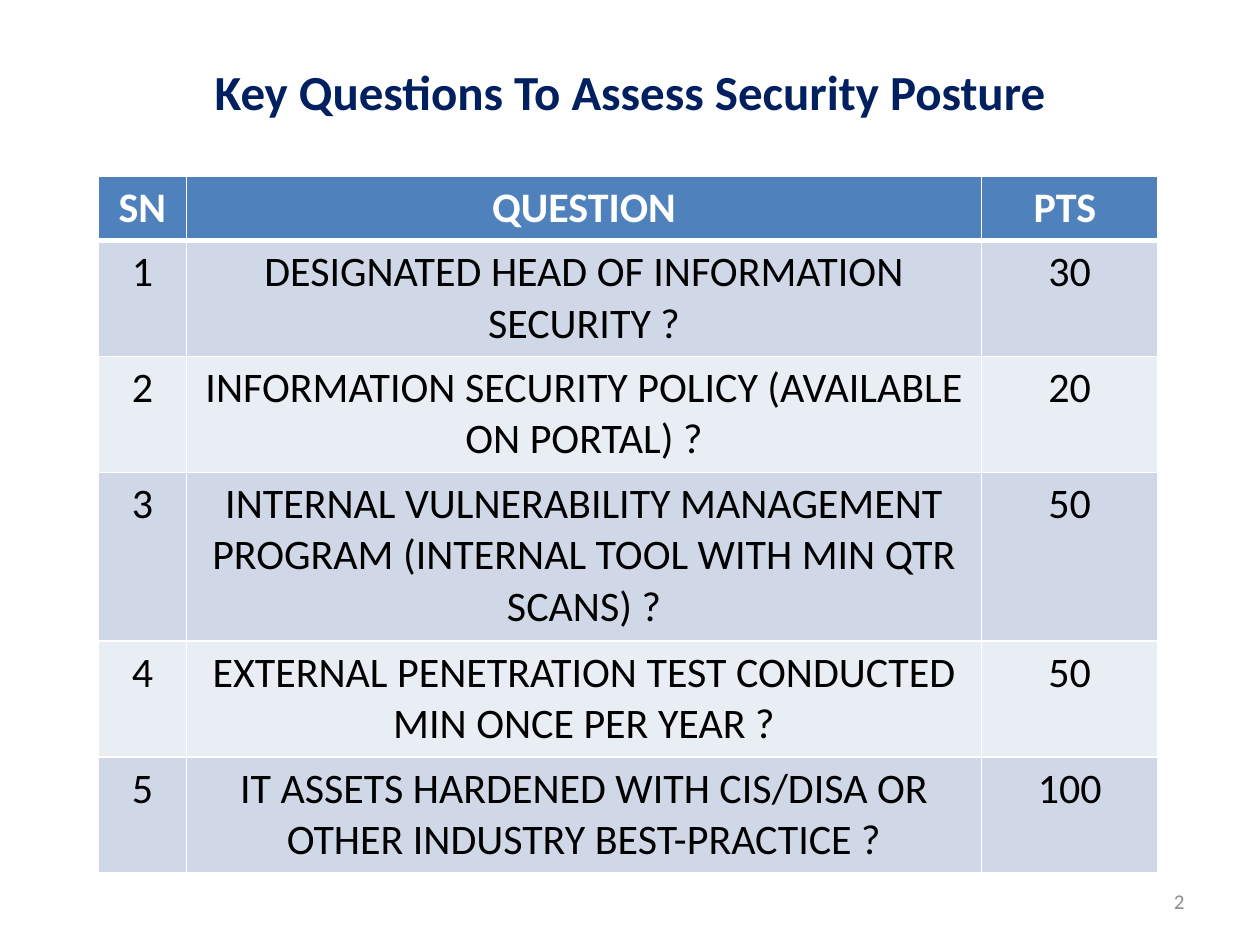
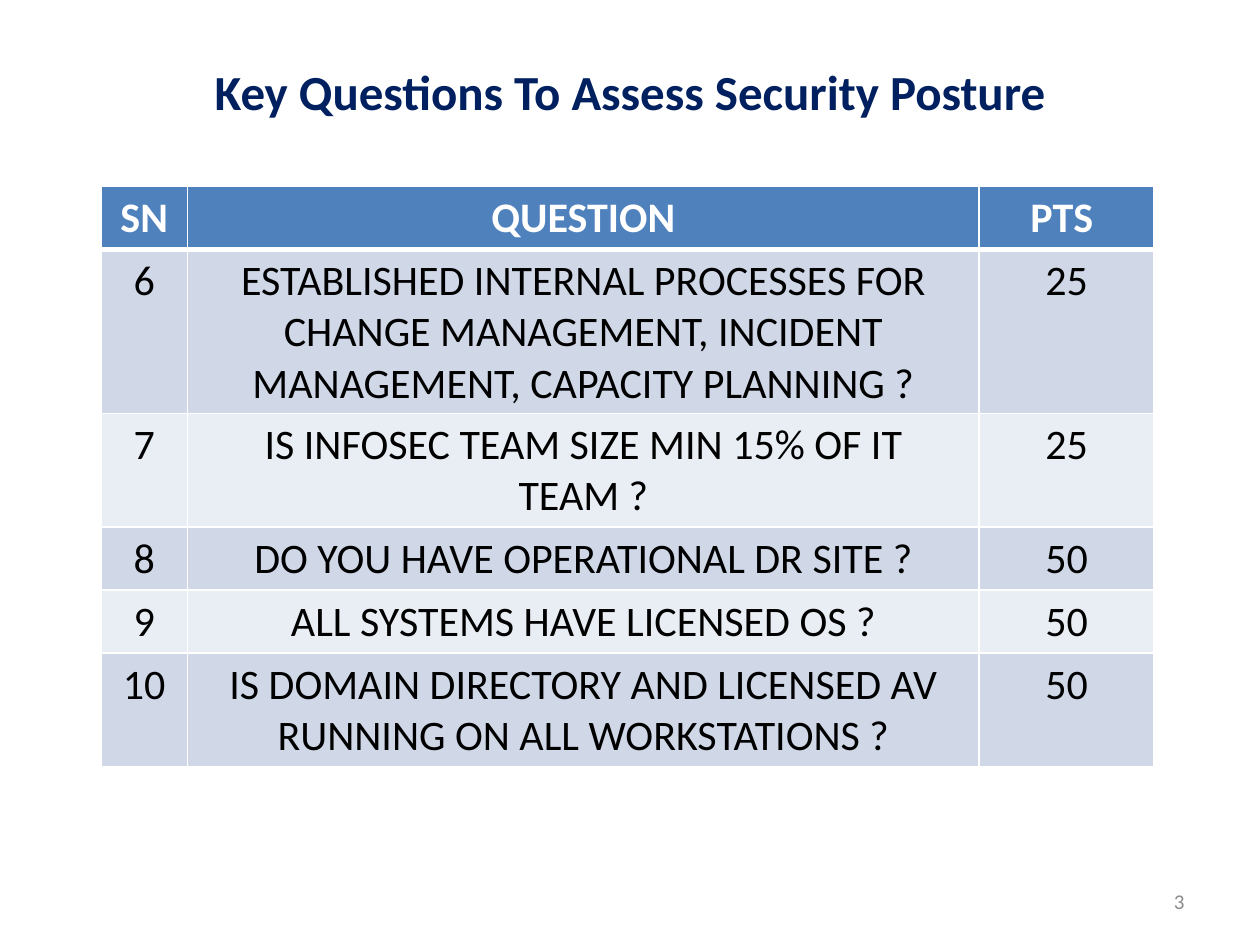
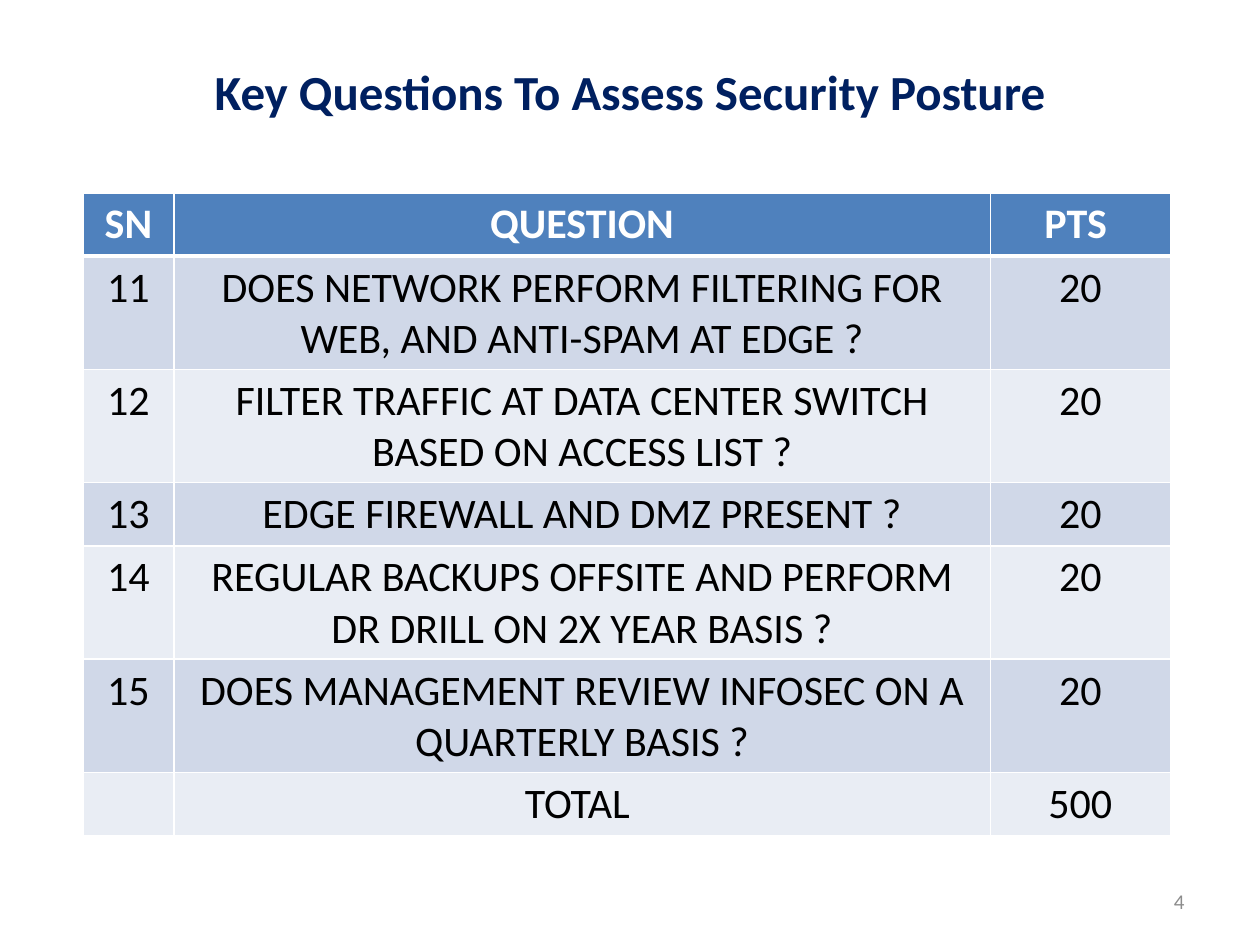
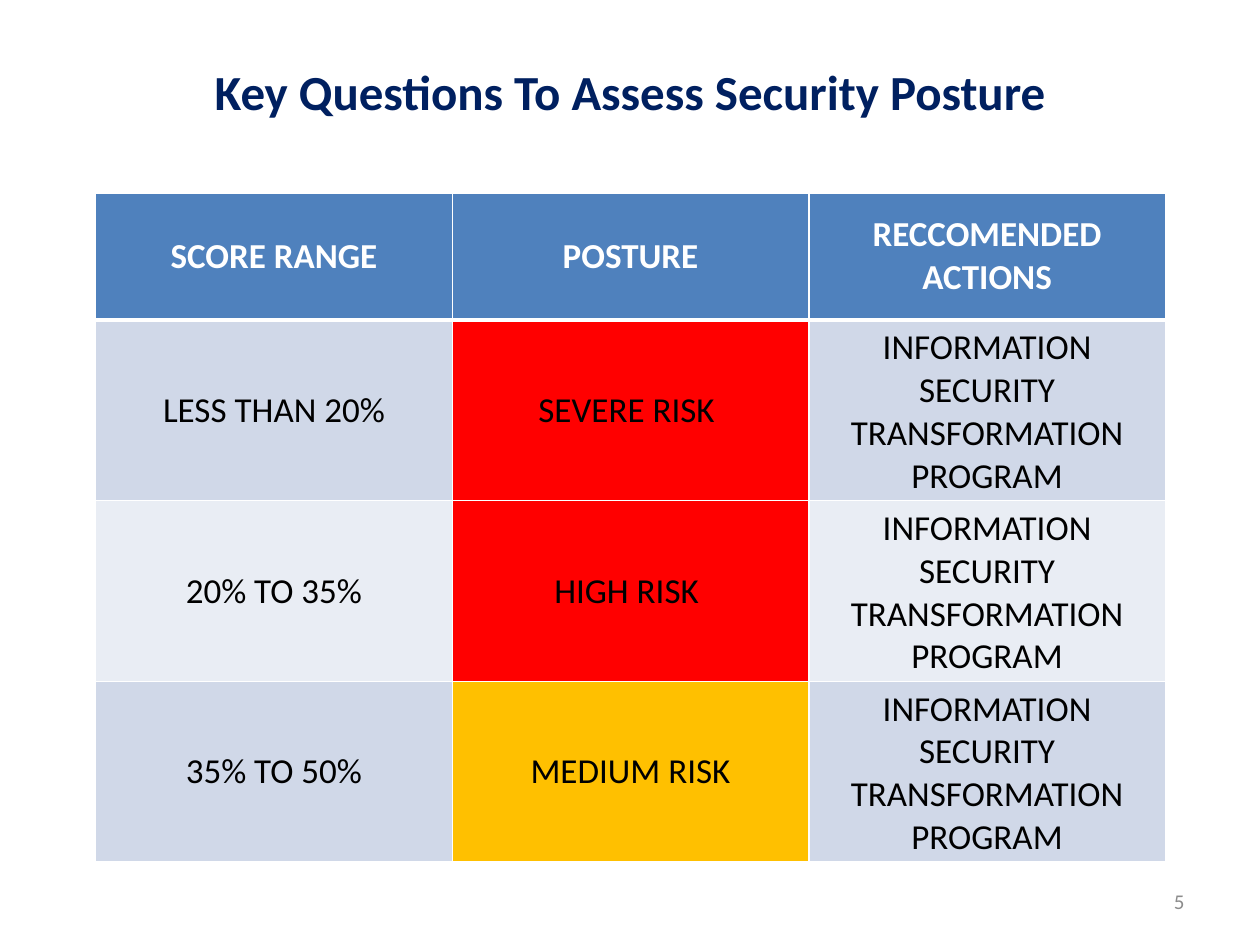
"""Build four slides that score and rate a security posture."""
from dataclasses import dataclass

from lxml import etree
from pptx import Presentation
from pptx import util as u
from pptx.dml.color import RGBColor
from pptx.enum import text
from pptx.oxml import ns

PX = 9144
FONT = "Calibri"
WHITE, BLACK, NAVY, GREY = "FFFFFF", "000000", "002060", "8C8C8C"
HEADER, BANDS = "4F81BD", ("E9EDF4", "D0D8E8")
RED, AMBER = "FF0000", "FFC000"
TITLE = "Key Questions To Assess Security Posture"
TITLE_BOX = (50, 23, 900, 98)
NUMBER_BOX = (717, 695, 233, 40)
FIRST_NUMBER = 2
QUESTION_HEAD = ("SN", "QUESTION", "PTS ")
PROGRAM = "INFORMATION SECURITY TRANSFORMATION PROGRAM"
TOP, MIDDLE = text.MSO_ANCHOR.TOP, text.MSO_ANCHOR.MIDDLE


@dataclass(frozen=True)
class Grid:
    box: tuple[int, int, int, int]
    cols: tuple[int, ...]
    heights: tuple[int, ...]
    rows: tuple[tuple[str, ...], ...]
    size: int = 24
    anchor: text.MSO_ANCHOR = TOP
    posture_fills: tuple[str, ...] = ()


GRIDS = (
    Grid((78, 140, 841, 555), (70, 631, 140), (51, 92, 92, 134, 92, 92), (
        QUESTION_HEAD,
        ("1", "DESIGNATED HEAD OF INFORMATION SECURITY ?", "30"),
        ("2", "INFORMATION SECURITY POLICY (AVAILABLE ON PORTAL) ?", "20"),
        ("3", "INTERNAL VULNERABILITY MANAGEMENT PROGRAM "
              "(INTERNAL TOOL WITH MIN QTR SCANS) ?", "50"),
        ("4", "EXTERNAL PENETRATION TEST CONDUCTED MIN ONCE PER YEAR ?", "50"),
        ("5", "IT ASSETS HARDENED WITH CIS/DISA OR "
              "OTHER INDUSTRY BEST-PRACTICE ?", "100"),
    )),
    Grid((80, 148, 836, 460), (69, 628, 139), (49, 128, 49, 49, 49, 89), (
        QUESTION_HEAD,
        ("6", "ESTABLISHED INTERNAL PROCESSES FOR CHANGE MANAGEMENT, "
              "INCIDENT MANAGEMENT, CAPACITY PLANNING ?", "25"),
        ("7", "IS INFOSEC TEAM SIZE MIN 15% OF IT TEAM ?", "25"),
        ("8", "DO YOU HAVE OPERATIONAL DR SITE ?", "50"),
        ("9", "ALL SYSTEMS HAVE LICENSED OS ?", "50"),
        ("10", "IS DOMAIN DIRECTORY AND LICENSED AV "
               "RUNNING ON ALL WORKSTATIONS ?", "50"),
    )),
    Grid((66, 153, 863, 510), (72, 648, 143), (47,) * 7, (
        QUESTION_HEAD,
        ("11", "DOES NETWORK PERFORM FILTERING FOR WEB, "
               "AND ANTI-SPAM AT EDGE ?", "20"),
        ("12", "FILTER TRAFFIC AT DATA CENTER SWITCH "
               "BASED ON ACCESS LIST ?", "20"),
        ("13", "EDGE FIREWALL AND DMZ PRESENT ?", "20"),
        ("14", "REGULAR BACKUPS OFFSITE AND PERFORM "
               "DR DRILL ON 2X YEAR BASIS ?", "20"),
        ("15", "DOES MANAGEMENT REVIEW INFOSEC ON A QUARTERLY BASIS ?", "20"),
        ("", "TOTAL ", "500"),
    )),
    Grid((76, 153, 848, 531), (283,) * 3, (101, 58, 58, 58), (
        ("SCORE RANGE", "POSTURE", "RECCOMENDED ACTIONS"),
        ("LESS THAN 20%", "SEVERE RISK ", PROGRAM),
        ("20% TO 35%", "HIGH RISK ", PROGRAM),
        ("35% TO 50%", "MEDIUM RISK", PROGRAM),
    ), size=20, anchor=MIDDLE, posture_fills=(RED, RED, AMBER)),
)


def rgb(value: str) -> RGBColor:
    """Turn a hex string into a colour."""
    return RGBColor.from_string(value)


def px(*lengths: int) -> list[int]:
    """Turn px lengths into EMU."""
    return [length * PX for length in lengths]


def write(tf, words: str, *, size: int, color: str, bold: bool = False,
          align=text.PP_ALIGN.CENTER) -> None:
    """Put formatted words into a text frame."""
    p = tf.paragraphs[0]
    p.alignment = align
    p.font.size = u.Pt(size)
    if words:
        r = p.add_run()
        r.text = words
        r.font.name, r.font.size, r.font.bold = FONT, u.Pt(size), bold
        r.font.color.rgb = rgb(color)


def border(cell, **widths: int) -> None:
    """Draw white cell borders with the given point widths by side."""
    tc_pr = cell._tc.get_or_add_tcPr()
    for side in "LRTB":
        ln = etree.SubElement(tc_pr, ns.qn(f"a:ln{side}"),
                              w=str(u.Pt(widths.get(side, 1))))
        fill = etree.SubElement(ln, ns.qn("a:solidFill"))
        etree.SubElement(fill, ns.qn("a:srgbClr"), val=WHITE)


def cell_fill(grid: Grid, row: int, col: int) -> str:
    """Choose the fill of a cell from its place in the grid."""
    if row == 0:
        return HEADER
    if grid.posture_fills and col == 1:
        return grid.posture_fills[row - 1]
    return BANDS[row % 2]


def add_grid(s, grid: Grid) -> None:
    """Draw a grid as a table."""
    frame = s.shapes.add_table(len(grid.rows), len(grid.cols), *px(*grid.box))
    table = frame.table
    for column, width in zip(table.columns, px(*grid.cols)):
        column.width = width
    for row, height in zip(table.rows, px(*grid.heights)):
        row.height = height
    frame.height = px(grid.box[3])[0]
    for i, words in enumerate(grid.rows):
        head = i == 0
        for j, value in enumerate(words):
            cell = table.cell(i, j)
            border(cell, B=3 if head else 1, T=3 if i == 1 else 1)
            cell.fill.solid()
            cell.fill.fore_color.rgb = rgb(cell_fill(grid, i, j))
            cell.vertical_anchor = grid.anchor
            write(cell.text_frame, value, size=grid.size, bold=head,
                  color=WHITE if head else BLACK)


def add_slide(prs, number: int, grid: Grid) -> None:
    """Add a slide with its number, title and grid."""
    s = prs.slides.add_slide(prs.slide_layouts.get_by_name("Title Only"))
    title = s.shapes.title
    title.left, title.top, title.width, title.height = px(*TITLE_BOX)
    title.text_frame.vertical_anchor = MIDDLE
    write(title.text_frame, TITLE, size=28, color=NAVY, bold=True)
    tf = s.shapes.add_textbox(*px(*NUMBER_BOX)).text_frame
    tf.word_wrap = True
    tf.vertical_anchor = MIDDLE
    write(tf, str(number), size=12, color=GREY, align=text.PP_ALIGN.RIGHT)
    add_grid(s, grid)


def main() -> None:
    """Build and save the slides."""
    prs = Presentation()
    prs.slide_width, prs.slide_height = px(1000, 750)
    for number, grid in enumerate(GRIDS, FIRST_NUMBER):
        add_slide(prs, number, grid)
    prs.save("out.pptx")


if __name__ == "__main__":
    main()
